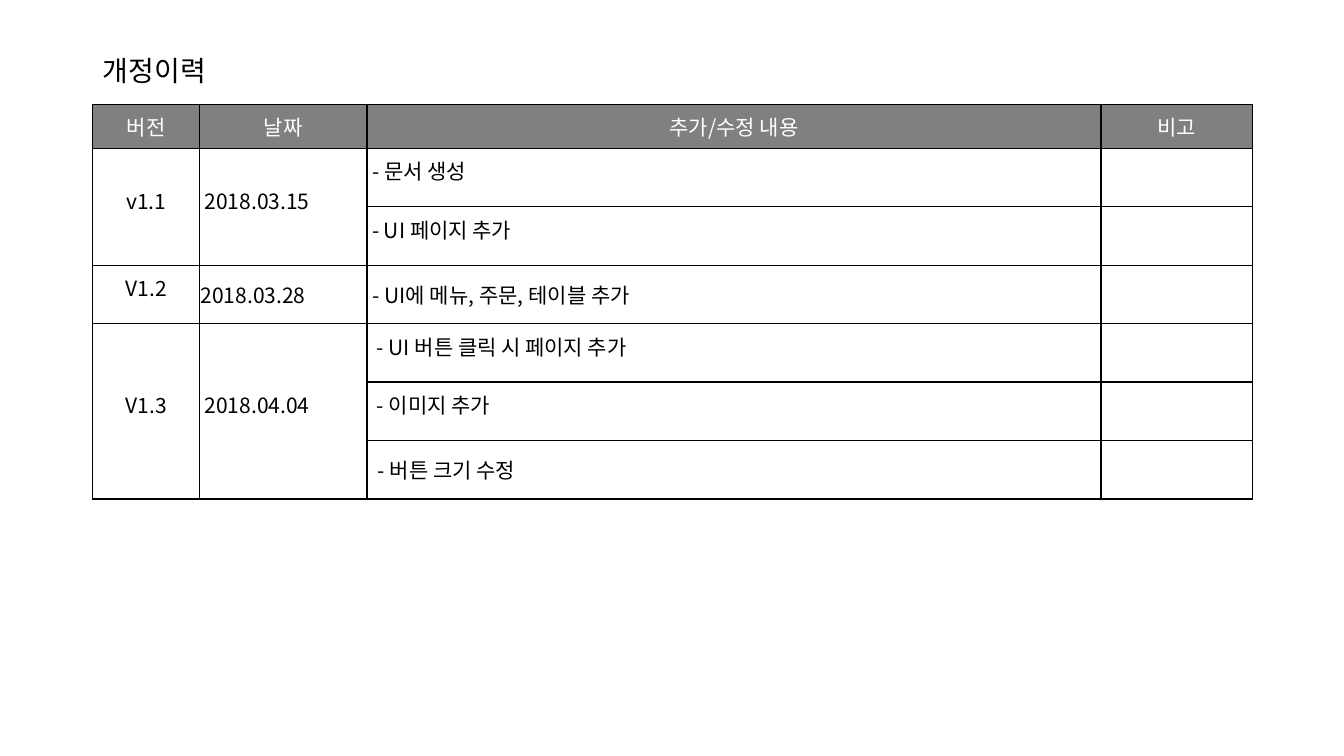
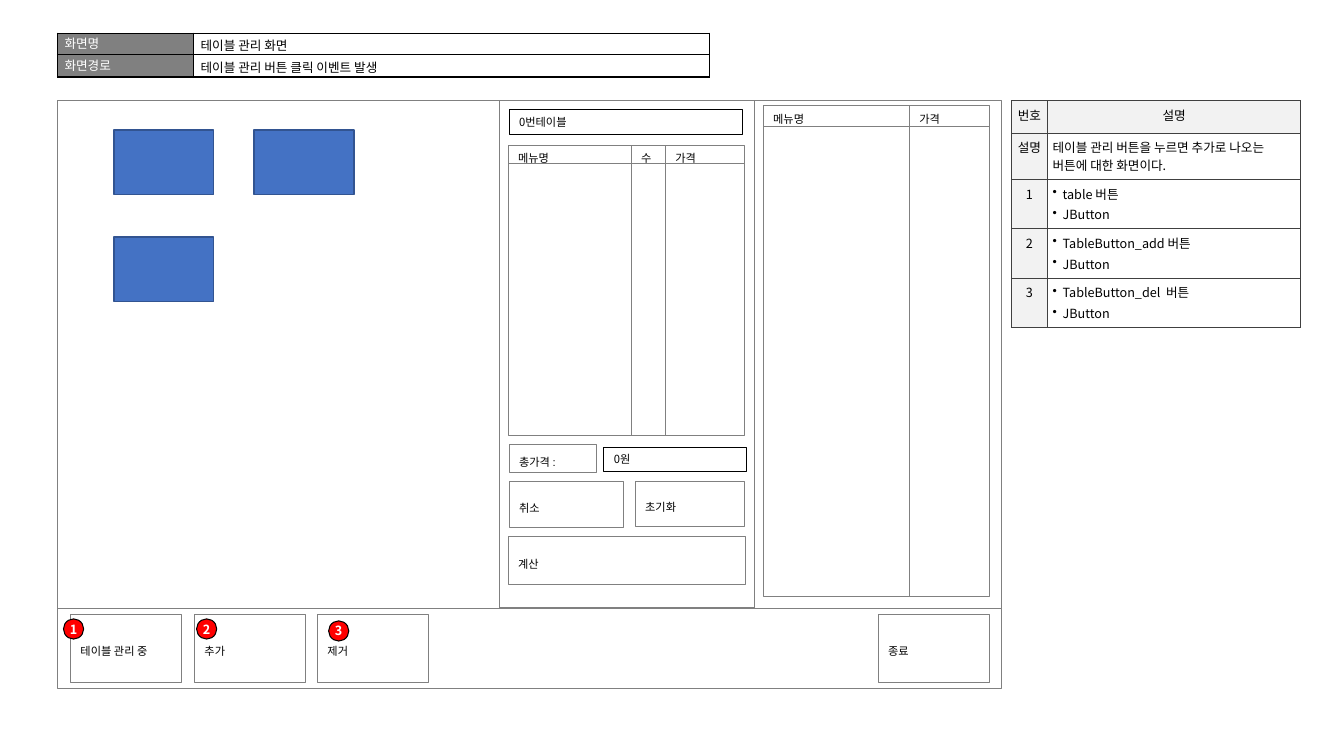
from pptx import Presentation
from pptx.util import Cm, Pt
from pptx.dml.color import RGBColor
from pptx.enum.shapes import MSO_SHAPE
from pptx.enum.text import MSO_ANCHOR, MSO_AUTO_SIZE, PP_ALIGN
from lxml import etree

RECT, OVAL = MSO_SHAPE.RECTANGLE, MSO_SHAPE.OVAL
MID, TOP = MSO_ANCHOR.MIDDLE, MSO_ANCHOR.TOP
LEFT, MIDDLE = PP_ALIGN.LEFT, PP_ALIGN.CENTER
GROW = MSO_AUTO_SIZE.SHAPE_TO_FIT_TEXT

BLACK = RGBColor(0x00, 0x00, 0x00)
WHITE = RGBColor(0xFF, 0xFF, 0xFF)
GREY = RGBColor(0x80, 0x80, 0x80)
DARK = RGBColor(0x40, 0x40, 0x40)
PALE = RGBColor(0xF2, 0xF2, 0xF2)
BLUE = RGBColor(0x44, 0x72, 0xC4)
NAVY = RGBColor(0x32, 0x54, 0x91)
RED = RGBColor(0xFF, 0x00, 0x00)
NOTO, ARIAL = "Noto Sans CJK KR", "Arial"
NS = "http://schemas.openxmlformats.org/drawingml/2006/main"

# Text styles
HEAD = dict(size=15, color=WHITE, align=MIDDLE, before=3, after=3)
BODY = dict(size=15, space=Pt(12), after=6)
MARK = dict(BODY, align=MIDDLE)
LOOSE = dict(size=15)
LAST = dict(size=15, before=2, after=2)
NOTE = dict(size=9, before=1.8)
NUM = dict(NOTE, align=MIDDLE)
LIST = dict(NOTE, bullet=True)
LABEL = dict(size=9, font=ARIAL, color=WHITE, space=Pt(12), after=6)
VALUE = dict(size=9, space=Pt(14), after=6)
WIRE = dict(size=8, font=ARIAL, space=1.5)
FIELD = dict(size=8)
BADGE = dict(size=9, color=WHITE, bold=True, align=MIDDLE)

# Cell insets: left, top, right, bottom
WIDE, SLIM, THIN = (.06, 0, .06, 0), (.05, .01, .05, .01), (.01, .01, .01, 0)
EVEN, SIDE = (.05,) * 4, (.07, .01, .07, .01)

# Content: revision history
TITLE = "개정이력"
HEADS = ["버전", "날짜", "추가/수정 내용", "비고"]
LOG = [
    ("v1.1", "2018.03.15", BODY, SLIM,
     [("- 문서 생성", BODY, SLIM), ("- UI 페이지 추가", BODY, SLIM)]),
    ("V1.2", "2018.03.28", LOOSE, THIN,
     [(" - UI에 메뉴, 주문, 테이블 추가", LOOSE, THIN)]),
    ("V1.3", "2018.04.04", BODY, SLIM,
     [(" - UI 버튼 클릭 시 페이지 추가", BODY, SLIM),
      (" - 이미지 추가", BODY, SLIM), (" - 버튼 크기 수정", LAST, WIDE)]),
]

# Content: screen plan
INFO = [("화면명", "테이블 관리 화면"),
        ("화면경로", "테이블 관리 버튼 클릭 이벤트 발생")]
GUIDE = [
    ("번호", ["설명"], NUM, PALE),
    ("설명", ["테이블 관리 버튼을 누르면 추가로 나오는 버튼에 대한 화면이다."],
     NOTE, WHITE),
    ("1", ["table 버튼", "JButton"], LIST, WHITE),
    ("2", ["TableButton_add 버튼", "JButton"], LIST, WHITE),
    ("3", ["TableButton_del  버튼", "JButton"], LIST, WHITE),
]
PANES = [(.57, 6.04, 9.36, .79), (4.95, 1, 2.53, 5.03),
         (.57, 1, 4.38, 5.04), (7.48, 1, 2.45, 5.04)]
MENU = [("메뉴명", 7.57, 1.45), ("가격", 9.02, .79)]
ORDER = [("메뉴명", 5.04, 1.22), ("수", 6.26, .34), ("가격", 6.6, .78)]
KEYS = [("초기화", 6.3, 4.78, 1.08, .44), ("취소", 5.05, 4.78, 1.13, .45),
        ("계산", 5.04, 5.32, 2.35, .48), ("총가격 :", 5.05, 4.41, .87, .28)]
FIELDS = [("0원", 5.99, 4.44, 1.41), ("0번테이블", 5.05, 1.09, 2.31)]
FOOT = [("테이블 관리 중", .7), ("추가", 1.93), ("제거", 3.15), ("종료", 8.71)]
SEATS = [(0, 0), (0, 1), (1, 0)]
DOTS = [(.63, 6.14), (1.95, 6.14), (3.26, 6.16)]


# Helpers: places are on an inch grid
def cm(val):
    return Cm(val * 2.54)


def node(up, tag, **att):
    return etree.SubElement(up, f"{{{NS}}}{tag}", **att)


def write(frame, lines, size, font=NOTO, color=BLACK, align=LEFT, space=None,
          before=0, after=0, bold=False, bullet=False):
    for i, line in enumerate(lines):
        para = frame.add_paragraph() if i else frame.paragraphs[0]
        para.alignment = align
        para.space_before, para.space_after = Pt(before), Pt(after)
        if space:
            para.line_spacing = space
        if bullet:
            prop = para._p.get_or_add_pPr()
            prop.set("marL", str(cm(.1)))
            prop.set("indent", str(-cm(.1)))
            node(prop, "buChar", char="•")
        run = para.add_run()
        run.text = line
        run.font.size, run.font.bold = Pt(size), bold
        run.font.name, run.font.color.rgb = font, color
        node(run._r.get_or_add_rPr(), "ea", typeface=NOTO)


def pad(part, gaps):
    (part.margin_left, part.margin_top,
     part.margin_right, part.margin_bottom) = map(cm, gaps)


def grid(slide, x, y, cols, rows, color, width):
    """Plain table with the same border round every cell."""
    tab = slide.shapes.add_table(len(rows), len(cols), cm(x), cm(y),
                                 cm(sum(cols)), cm(sum(rows))).table
    tab.first_row = tab.horz_banding = False
    for col, size in zip(tab.columns, cols):
        col.width = cm(size)
    for row, size in zip(tab.rows, rows):
        row.height = cm(size)
    for cell in tab.iter_cells():
        prop = cell._tc.get_or_add_tcPr()
        for side in "LRTB":
            edge = node(prop, "ln" + side, w=str(Pt(width)))
            node(node(edge, "solidFill"), "srgbClr", val=str(color))
        cell.fill.background()
    return tab


def fill(cell, lines, style, gaps, color=None, anchor=MID):
    pad(cell, gaps)
    cell.vertical_anchor = anchor
    if color is not None:
        cell.fill.solid()
        cell.fill.fore_color.rgb = color
    write(cell.text_frame, lines, **style)


def box(slide, x, y, w, h, text=None, style=WIRE, line=GREY, width=.5,
        color=None, kind=RECT):
    shape = slide.shapes.add_shape(kind, cm(x), cm(y), cm(w), cm(h))
    shape.shadow.inherit = False
    shape.line.color.rgb, shape.line.width = line, Pt(width)
    if color is None:
        shape.fill.background()
    else:
        shape.fill.solid()
        shape.fill.fore_color.rgb = color
    if text:
        shape.text_frame.vertical_anchor = MID
        write(shape.text_frame, [text], **style)
    return shape


def history(slide):
    name = slide.shapes.add_textbox(cm(.92), cm(.4), cm(11.5), cm(.64))
    name.text_frame.word_wrap = True
    name.text_frame.vertical_anchor = MID
    write(name.text_frame, [TITLE], size=20, space=.9)

    count = sum(len(log[-1]) for log in LOG)
    tab = grid(slide, .92, 1.04, [1.06, 1.66, 7.28, 1.5],
               [.43] + [.58] * count, BLACK, 1)
    for c, head in enumerate(HEADS):
        fill(tab.cell(0, c), [head], HEAD, WIDE, GREY)
    top = 1
    for mark, date, style, gaps, items in LOG:
        end = top + len(items) - 1
        if end > top:
            for c in (0, 1):
                tab.cell(top, c).merge(tab.cell(end, c))
        fill(tab.cell(top, 0), [mark], MARK, SLIM)
        fill(tab.cell(top, 1), [date], style, gaps)
        for r, (item, look, inset) in enumerate(items, top):
            fill(tab.cell(r, 2), [item], look, inset)
        top = end + 1


def screen(slide):
    # Guide and page info tables
    tab = grid(slide, 10.03, 1, [.36, 2.51], [.32, .46] + [.49] * 3, DARK, .75)
    for r, (num, lines, style, color) in enumerate(GUIDE):
        fill(tab.cell(r, 0), [num], NUM, EVEN, PALE, TOP)
        fill(tab.cell(r, 1), lines, style, EVEN, color, TOP)
    tab = grid(slide, .57, .33, [1.35, 5.12], [.21, .22], BLACK, 1)
    for r, (label, value) in enumerate(INFO):
        fill(tab.cell(r, 0), [label], LABEL, SIDE, GREY)
        fill(tab.cell(r, 1), [value], VALUE, SIDE)

    # Panes and their lists
    for pane in PANES:
        box(slide, *pane)
    for cols, y, head, tall in ((MENU, 1.05, .2, 4.67), (ORDER, 1.44, .18, 2.7)):
        for text, x, w in cols:
            box(slide, x, y, w, head, text)
            box(slide, x, y + head, w, tall)

    # Seats, keys and fields
    for c, r in SEATS:
        box(slide, 1.13 + 1.39 * c, 1.29 + 1.06 * r, .99, .64,
            line=NAVY, width=1, color=BLUE)
    for text, *place in KEYS:
        box(slide, *place, text)
    for text, x, y, w in FIELDS:
        field = box(slide, x, y, w, .24, text, FIELD, BLACK, .75).text_frame
        field.vertical_anchor, field.auto_size = TOP, GROW
    for text, x in FOOT:
        box(slide, x, 6.09, 1.1, .68, text)

    # Numbered badges
    for num, (x, y) in enumerate(DOTS, 1):
        dot = box(slide, x, y, .2, .2, str(num), BADGE, BLACK, .75, RED, OVAL)
        pad(dot.text_frame, (0,) * 4)
        dot.text_frame.word_wrap = False


deck = Presentation()
deck.slide_width, deck.slide_height = cm(13.33), cm(7.5)
for draw in (history, screen):
    draw(deck.slides.add_slide(deck.slide_layouts[6]))
deck.save("out.pptx")
